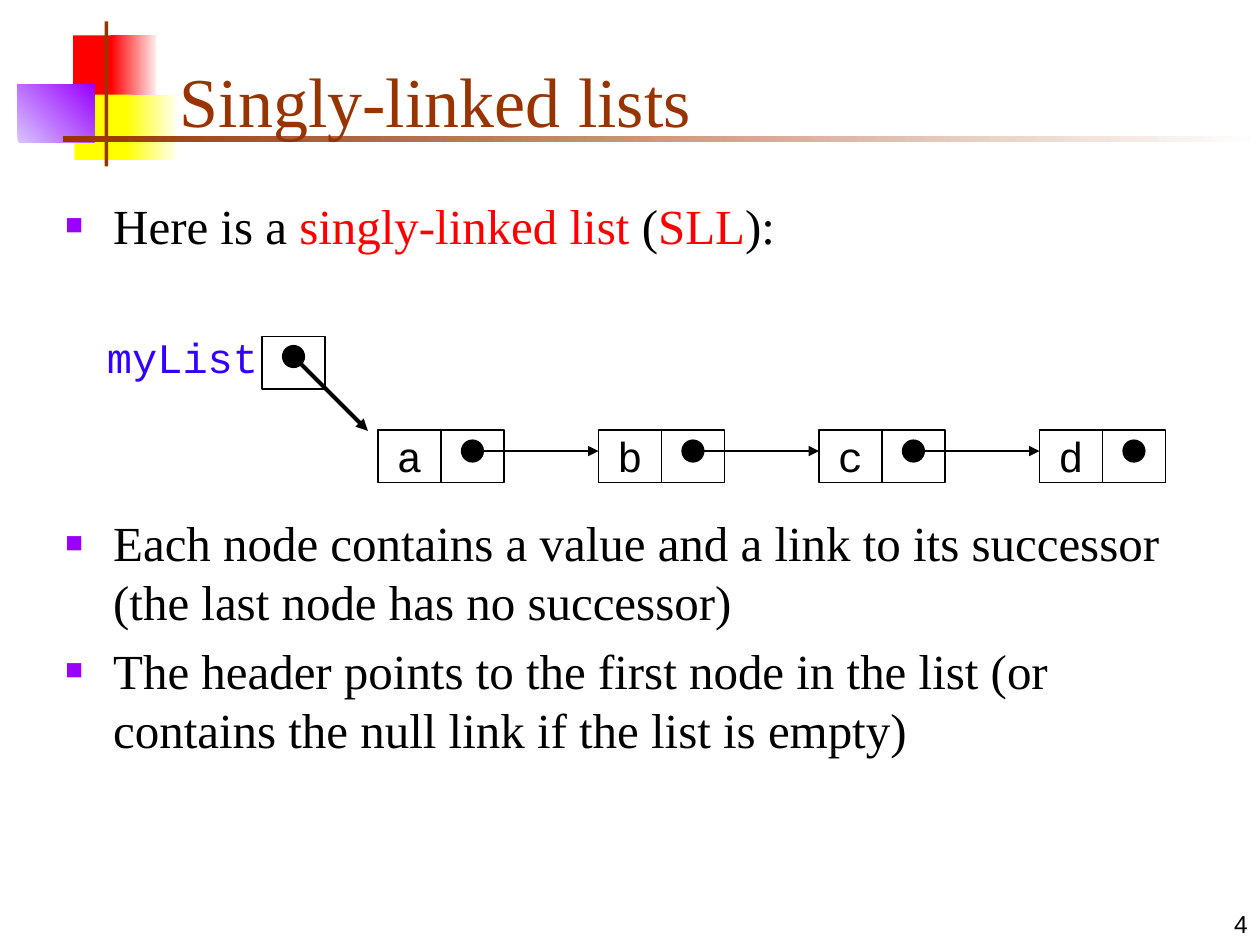
import pptx
import pptx.dml.color
import pptx.enum.shapes
import pptx.enum.text
import pptx.oxml
import pptx.oxml.ns
import pptx.util
from lxml import etree

Inches, Pt = pptx.util.Inches, pptx.util.Pt
RGB = pptx.dml.color.RGBColor
SHAPE = pptx.enum.shapes.MSO_SHAPE
ALIGN, ANCHOR = pptx.enum.text.PP_ALIGN, pptx.enum.text.MSO_ANCHOR
qn = pptx.oxml.ns.qn

BLACK, WHITE = RGB(0, 0, 0), RGB(255, 255, 255)
RED, PALE_RED = RGB(0xFF, 0, 0), RGB(0xFF, 0xEA, 0xEA)
YELLOW, PALE_YELLOW = RGB(0xFF, 0xFF, 0), RGB(0xFF, 0xFF, 0xF0)
PURPLE, PALE_PURPLE = RGB(0x99, 0, 0xFF), RGB(0xD8, 0xC4, 0xFF)
BROWN, BLUE = RGB(0x99, 0x33, 0), RGB(0x33, 0, 0xFF)
SERIF, SANS, MONO = "Times New Roman", "Arial", "Courier New"

CELL_W, CELL_H, DOT = 0.5, 0.42, 0.17
NODE_X, NODE_Y, NODE_STEP = 3, 3.41, 1.75


def add_block(s, box, start, end=None, angle=0):
    """Borderless rectangle, solid or fading from start to end."""
    sp = s.shapes.add_shape(SHAPE.RECTANGLE, *map(Inches, box))
    sp.shadow.inherit = False
    sp.line.fill.background()
    if end is None:
        sp.fill.solid()
        sp.fill.fore_color.rgb = start
        return
    sp.fill.gradient()
    sp.fill.gradient_angle = angle
    for stop, color in zip(sp.fill.gradient_stops, (start, end)):
        stop.color.rgb = color


def add_runs(p, runs, size, font):
    for text, color in runs:
        r = p.add_run()
        r.text = text
        r.font.size, r.font.name = Pt(size), font
        r.font.color.rgb = color


def add_text(s, box, text, size, font, color, anchor=ANCHOR.TOP, align=ALIGN.LEFT):
    tf = s.shapes.add_textbox(*map(Inches, box)).text_frame
    tf.word_wrap = True
    tf.vertical_anchor = anchor
    p = tf.paragraphs[0]
    p.alignment = align
    add_runs(p, [(text, color)], size, font)


def set_bullet(p):
    pPr = p._p.get_or_add_pPr()
    pPr.set("marL", str(Inches(0.38)))
    pPr.set("indent", str(-Inches(0.38)))
    color = etree.SubElement(pPr, qn("a:buClr"))
    etree.SubElement(color, qn("a:srgbClr"), val=str(PURPLE))
    etree.SubElement(pPr, qn("a:buSzPct"), val="60000")
    etree.SubElement(pPr, qn("a:buFont"), typeface=SANS)
    etree.SubElement(pPr, qn("a:buChar"), char="■")


def add_bullets(s, box, items):
    tf = s.shapes.add_textbox(*map(Inches, box)).text_frame
    tf.word_wrap = True
    for i, runs in enumerate(items):
        p = tf.add_paragraph() if i else tf.paragraphs[0]
        set_bullet(p)
        if i:
            p.space_before = Pt(5.6)
        add_runs(p, runs, 28, SERIF)


def add_cell(s, x, y, value=None):
    sp = s.shapes.add_shape(SHAPE.RECTANGLE, *map(Inches, (x, y, CELL_W, CELL_H)))
    sp.shadow.inherit = False
    sp.fill.background()
    sp.line.color.rgb, sp.line.width = BLACK, Pt(1)
    if value:
        tf = sp.text_frame
        tf.word_wrap = False
        tf.vertical_anchor = ANCHOR.MIDDLE
        tf.paragraphs[0].alignment = ALIGN.CENTER
        add_runs(tf.paragraphs[0], [(value, BLACK)], 24, MONO)


def add_dot(s, cx, cy):
    box = (cx - DOT / 2, cy - DOT / 2, DOT, DOT)
    sp = s.shapes.add_shape(SHAPE.OVAL, *map(Inches, box))
    sp.shadow.inherit = False
    sp.fill.solid()
    sp.fill.fore_color.rgb = BLACK
    sp.line.color.rgb, sp.line.width = BLACK, Pt(1)


def add_arrow(s, start, end, width):
    c = s.shapes.add_connector(pptx.enum.shapes.MSO_CONNECTOR.STRAIGHT,
                               *map(Inches, start + end))
    c.line.color.rgb, c.line.width = BLACK, Pt(width)
    etree.SubElement(c.line._get_or_add_ln(), qn("a:tailEnd"), type="triangle")
    etree.SubElement(c._element.spPr, qn("a:effectLst"))


def add_decoration(s):
    add_block(s, (0.58, 0.28, 0.35, 0.52), RED)
    add_block(s, (0.88, 0.28, 0.36, 0.52), RED, PALE_RED)
    add_block(s, (0.59, 0.75, 0.46, 0.52), YELLOW)
    add_block(s, (1, 0.75, 0.4, 0.52), YELLOW, PALE_YELLOW)
    add_block(s, (0.14, 0.67, 0.61, 0.46), PALE_PURPLE, PURPLE, angle=45)
    add_block(s, (0.83, 0.17, 0.03, 1.15), BROWN)
    add_block(s, (0.5, 1.08, 9.5, 0.05), BROWN, WHITE)


def add_linked_list(s, values):
    link_y = NODE_Y + 0.17
    for i, value in enumerate(values):
        x = NODE_X + i * NODE_STEP
        link_x = x + 1.5 * CELL_W
        add_cell(s, x, NODE_Y, value)
        add_cell(s, x + CELL_W, NODE_Y)
        add_dot(s, link_x, link_y)
        if i < len(values) - 1:
            add_arrow(s, (link_x, link_y), (x + NODE_STEP, link_y), 1)


def add_header(s):
    add_text(s, (0.75, 2.58, 1.42, 0.51), "myList", 24, MONO, BLUE)
    add_cell(s, 2.08, 2.67)
    add_dot(s, 2.33, 2.83)
    add_arrow(s, (2.33, 2.83), (2.92, 3.42), 2.25)


def main():
    prs = pptx.Presentation()
    prs.slide_width, prs.slide_height = Inches(10), Inches(7.5)
    s = prs.slides.add_slide(prs.slide_layouts[6])
    add_decoration(s)
    add_text(s, (7.92, 7, 2.08, 0.5), "4", 14, SANS, BLACK, ANCHOR.BOTTOM, ALIGN.RIGHT)
    add_text(s, (1.33, 0.25, 8.52, 0.92), "Singly-linked lists", 40, SERIF, BROWN,
             ANCHOR.BOTTOM)
    add_bullets(s, (0.42, 1.5, 9.38, 0.78), [
        [("Here is a ", BLACK), ("singly-linked list", RED), (" (", BLACK),
         ("SLL", RED), ("):", BLACK)],
    ])
    add_bullets(s, (0.42, 4.02, 9.38, 2.69), [
        [("Each node contains a value and a link to its successor "
          "(the last node has no successor)", BLACK)],
        [("The header points to the first node in the list "
          "(or contains the null link if the list is empty)", BLACK)],
    ])
    add_linked_list(s, "abcd")
    add_header(s)
    prs.save("out.pptx")


if __name__ == "__main__":
    main()
